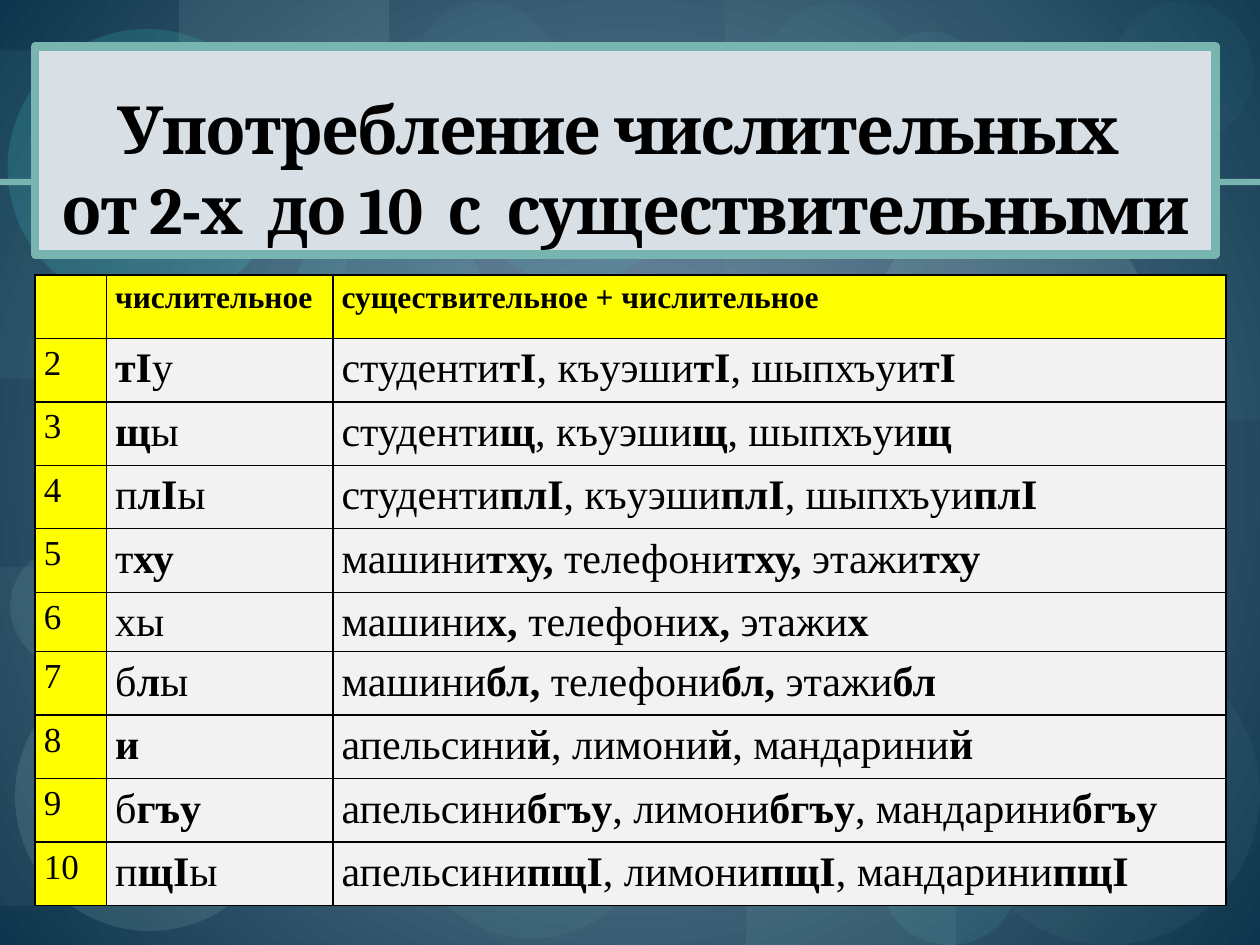
from lxml import etree
from pptx import Presentation
from pptx.dml.color import RGBColor
from pptx.enum.shapes import MSO_SHAPE
from pptx.enum.text import MSO_ANCHOR, MSO_AUTO_SIZE, PP_ALIGN
from pptx.oxml.ns import qn
from pptx.util import Pt

RECT, OVAL = MSO_SHAPE.RECTANGLE, MSO_SHAPE.OVAL
BOTTOM, NO_FIT = MSO_ANCHOR.BOTTOM, MSO_AUTO_SIZE.NONE
CENTER, JUSTIFY = PP_ALIGN.CENTER, PP_ALIGN.JUSTIFY

COLORS = {
    "glow": "7B96AA", "deep": "0E354D", "teal": "79B5B0", "panel": "D8E0E5",
    "head": "FFFF00", "body": "F2F2F2", "ink": "000000",
}

# Backdrop: shape, left, top, width, height, colour, opacity in percent
DECOR = [
    (RECT, 72, 180.7, 216, 167.8, "79B5B0", 9),
    (OVAL, 234.7, 399.6, 138.2, 136.8, "549791", 13),
    (RECT, 414, 0, 306, 239.8, "79B5B0", 6),
    (RECT, 0, 324, 185.8, 193.7, "B2B7BA", 8),
    (OVAL, 329, 187.9, 171.4, 171.4, "70A39E", 8),
    (OVAL, 502.6, 460, 80, 80, "65E8DC", 9),
    (OVAL, 497.5, 112.3, 161.3, 161.3, "C1E8E4", 11),
    (OVAL, 8.6, 378, 154, 154, "C1E8E4", 12),
    (OVAL, 159, 360.7, 80.6, 80.6, "65E8DC", 9),
    (OVAL, 328.3, 364.3, 119.5, 110.2, "44EADC", 8),
    (RECT, 0, 28.8, 198, 188, "77D6CE", 7),
    (RECT, 102.2, 0, 120.2, 48.2, "BED7D4", 10),
    (OVAL, 4.3, 16.6, 159, 159, "44EADC", 15),
    (OVAL, 5.8, 311.8, 69.8, 69.8, "97DCD6", 10),
    (OVAL, 167, 118.8, 110.2, 110.2, "65E8DC", 9),
    (OVAL, 265, 36.7, 125.3, 125.3, "44EADC", 8),
    (OVAL, 409, 234, 254.9, 254.9, "61CDC4", 10),
    (OVAL, 437.8, 0.7, 80.6, 80.6, "65E8DC", 4),
    (OVAL, 547.2, 367.2, 172.8, 172.8, "70A39E", 8),
    (OVAL, 126, 291.6, 94.3, 94.3, "97DCD6", 10),
    (OVAL, 498.2, 18, 64.8, 64.8, "65E8DC", 6),
    (OVAL, 635.8, 0.7, 80.6, 80.6, "65E8DC", 4),
    (RECT, 426.2, 498.2, 120.2, 41.8, "79B5B0", 10),
    (OVAL, 236.9, 0.7, 80.6, 80.6, "65E8DC", 4),
    (RECT, 0, 102.2, 720, 3.6, "79B5B0", 100),
]

TITLE = "Употребление числительных \vот 2-х  до 10  с  существительными"
HEADS = ["", "*числительное*", "*существительное + числительное*"]

# Noun stems and the mark between nouns; bold stands between asterisks
PEOPLE = ("студенти", "къуэши", "шыпхъуи"), "*, "
THINGS = ("машини", "телефони", "этажи"), ", *"
FRUIT = ("апельсини", "лимони", "мандарини"), "*, "
NUMBERS = [
    ("*тI*у", PEOPLE, "тI"),
    ("*щ*ы", PEOPLE, "щ"),
    ("п*лI*ы", PEOPLE, "плI"),
    ("т*ху*", THINGS, "тху"),
    ("хы", THINGS, "х"),
    ("б*л*ы", THINGS, "бл"),
    ("*и*", FRUIT, "й"),
    ("б*гъу*", FRUIT, "бгъу"),
    ("п*щI*ы", FRUIT, "пщI"),
]
COLS = [40.8, 129.4, 510.4]
ROW, LOW = 36.3, 34
INSETS = {"margin_left": Pt(5), "margin_right": Pt(5),
          "margin_top": 0, "margin_bottom": 0}


def rgb(name):
    return RGBColor.from_string(COLORS.get(name, name))


def paint(fill, name):
    fill.solid()
    fill.fore_color.rgb = rgb(name)


def apply(item, values):
    for key, value in values.items():
        setattr(item, key, value)


def style(font, size, face, bold):
    apply(font, {"size": Pt(size), "name": face, "bold": bold})
    font.color.rgb = rgb("ink")


def set_back(slide):
    fill = slide.background.fill
    fill.gradient()
    for stop, name in zip(fill.gradient_stops, ("glow", "deep")):
        stop.color.rgb = rgb(name)
    # Turn the linear gradient into a radial one
    lin = next(slide.element.iter(qn("a:lin")))
    ring = etree.Element(qn("a:path"), {"path": "circle"})
    etree.SubElement(ring, qn("a:fillToRect"), dict.fromkeys("ltrb", "50000"))
    lin.getparent().replace(lin, ring)


def add_decor(slide, kind, left, top, width, height, color, alpha):
    shape = slide.shapes.add_shape(kind, Pt(left), Pt(top), Pt(width), Pt(height))
    shape.shadow.inherit = False
    shape.line.fill.background()
    paint(shape.fill, color)
    if alpha < 100:
        tint = next(shape.element.spPr.iter(qn("a:srgbClr")))
        etree.SubElement(tint, qn("a:alpha"), val=str(alpha * 1000))


def set_title(slide):
    title = slide.shapes.title
    apply(title, {"left": Pt(20), "top": Pt(26.6),
                  "width": Pt(674.6), "height": Pt(118.8)})
    paint(title.fill, "panel")
    paint(title.line.fill, "teal")
    title.line.width = Pt(4.72)
    frame = title.text_frame
    frame.text = TITLE
    apply(frame, {"vertical_anchor": BOTTOM, "word_wrap": True,
                  "auto_size": NO_FIT})
    para = frame.paragraphs[0]
    para.alignment = CENTER
    for run in para.runs:
        style(run.font, 38, "Cambria", True)
        run.font._element.set("spc", "-100")
    # Bring the title in front of the backdrop
    title.element.getparent().append(title.element)


def add_edges(cell):
    props = cell._tc.get_or_add_tcPr()
    for spot, side in enumerate(("lnL", "lnR", "lnT", "lnB")):
        edge = etree.Element(qn("a:" + side), w=str(Pt(1)))
        solid = etree.SubElement(edge, qn("a:solidFill"))
        etree.SubElement(solid, qn("a:srgbClr"), val=COLORS["ink"])
        props.insert(spot, edge)


def fill_cell(cell, text, size, color):
    paint(cell.fill, color)
    apply(cell, INSETS)
    add_edges(cell)
    para = cell.text_frame.paragraphs[0]
    apply(para, {"alignment": JUSTIFY, "line_spacing": 1.15})
    for part, words in enumerate(text.split("*")):
        if words:
            run = para.add_run()
            run.text = words
            style(run.font, size, "Times New Roman", part % 2 == 1)


def add_table(slide):
    rows = [HEADS]
    for count, (word, (stems, mark), end) in enumerate(NUMBERS, 2):
        nouns = mark.join(f"{stem}*{end}" for stem in stems) + "*"
        rows.append([str(count), word, nouns])
    frame = slide.shapes.add_table(len(rows), len(COLS), Pt(20), Pt(157),
                                   Pt(sum(COLS)), Pt(ROW * 9 + LOW))
    table = frame.table
    for col, width in zip(table.columns, COLS):
        col.width = Pt(width)
    for y, texts in enumerate(rows):
        table.rows[y].height = Pt(LOW if y == 5 else ROW)
        for x, text in enumerate(texts):
            size = 18 if y == 0 else 20 if x == 0 else 24
            color = "head" if x == 0 or y == 0 else "body"
            fill_cell(table.cell(y, x), text, size, color)


def main():
    deck = Presentation()
    apply(deck, {"slide_width": Pt(720), "slide_height": Pt(540)})
    slide = deck.slides.add_slide(deck.slide_layouts[5])
    set_back(slide)
    for item in DECOR:
        add_decor(slide, *item)
    set_title(slide)
    add_table(slide)
    deck.save("out.pptx")


if __name__ == "__main__":
    main()
